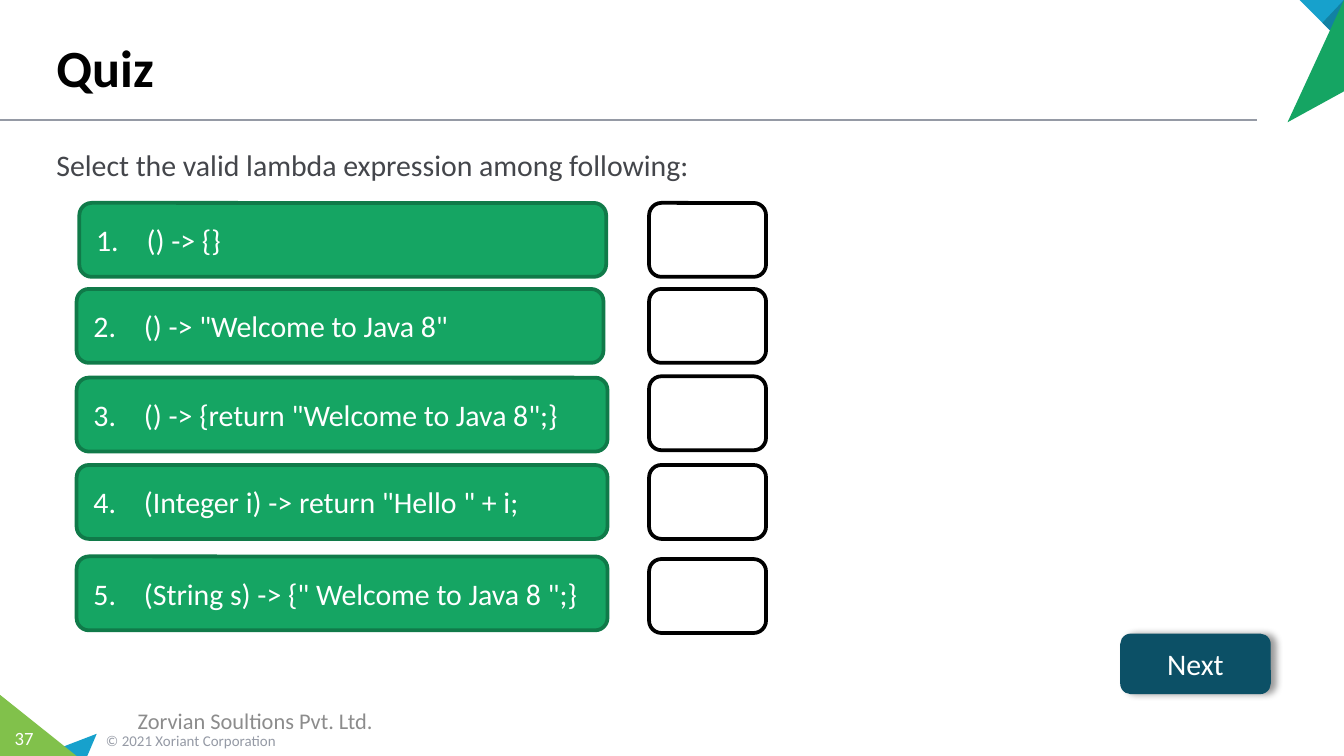
from lxml import etree
from pptx import Presentation
from pptx.dml.color import RGBColor
from pptx.enum.shapes import MSO_CONNECTOR, MSO_SHAPE
from pptx.enum.text import MSO_ANCHOR, MSO_AUTO_SIZE, PP_ALIGN
from pptx.oxml import parse_xml
from pptx.oxml.ns import nsdecls, qn
from pptx.util import Emu, Pt

PX = 914400 // 200  # 200 px to the inch
FONT = "Calibri"
LEFT, CENTER = PP_ALIGN.LEFT, PP_ALIGN.CENTER
TOP, MIDDLE, BOTTOM = MSO_ANCHOR.TOP, MSO_ANCHOR.MIDDLE, MSO_ANCHOR.BOTTOM
ROUNDED = MSO_SHAPE.ROUNDED_RECTANGLE
STRAIGHT = MSO_CONNECTOR.STRAIGHT

GREEN, DARK_GREEN, LIME = "15A563", "107A49", "81C14B"
BLUE, DARK_BLUE, TEAL = "17A1CC", "1281A3", "0C5066"
WHITE, BLACK, GREY = "FFFFFF", "000000", "959AA5"

# top of the option, its left and width, top of its answer box, text
OPTIONS = [
    (302, 118, 784, 302, "() -> {}"),
    (430, 114, 784, 430, '() -> "Welcome to Java 8"'),
    (562, 114, 790, 560, '() -> {return "Welcome to Java 8";}'),
    (692, 114, 790, 692, '(Integer i) -> return "Hello " + i;'),
    (828, 114, 790, 832, '(String s) -> {" Welcome to Java 8 ";}'),
]


def px(length):
    return Emu(length * PX)


def color(hex_string):
    return RGBColor.from_string(hex_string)


def write(shape, text, size, hex_string, align=LEFT, anchor=MIDDLE, bold=False, number=None):
    frame = shape.text_frame
    frame.word_wrap = True
    frame.auto_size = MSO_AUTO_SIZE.NONE
    frame.vertical_anchor = anchor
    paragraph = frame.paragraphs[0]
    paragraph.text = text
    paragraph.alignment = align
    paragraph.space_before = Pt(0)
    properties = paragraph._p.get_or_add_pPr()
    indent = 0 if number is None else px(75)
    properties.set("marL", str(indent))
    properties.set("indent", str(-indent))
    if number is None:
        etree.SubElement(properties, qn("a:buNone"))
    else:
        numbering = etree.SubElement(properties, qn("a:buAutoNum"))
        numbering.set("type", "arabicPeriod")
        numbering.set("startAt", str(number))
    font = paragraph.font
    font.name, font.size, font.bold = FONT, Pt(size), bold
    font.color.rgb = color(hex_string)
    return paragraph


def add_label(slide, box, text, size, hex_string, align=LEFT):
    label = slide.shapes.add_textbox(*map(px, box))
    write(label, text, size, hex_string, align)
    return label


def fill_placeholder(placeholder, box, text, *style, **options):
    placeholder.left, placeholder.top, placeholder.width, placeholder.height = map(px, box)
    return write(placeholder, text, *style, **options)


def add_rounded(slide, box, fill, line, line_width):
    shape = slide.shapes.add_shape(ROUNDED, *map(px, box))
    shape.shadow.inherit = False
    shape.fill.solid()
    shape.fill.fore_color.rgb = color(fill)
    shape.line.color.rgb = color(line)
    shape.line.width = Pt(line_width)
    return shape


def add_triangle(slide, left, top, points, fill):
    corners = [(left + x, top + y) for x, y in points]
    builder = slide.shapes.build_freeform(*corners[0], scale=PX)
    builder.add_line_segments(corners[1:], close=True)
    triangle = builder.convert_to_shape()
    triangle.shadow.inherit = False
    triangle.fill.solid()
    triangle.fill.fore_color.rgb = color(fill)
    triangle.line.fill.background()


def add_top_corner(slide, left, top):
    add_triangle(slide, left, top, [(18, 0), (84, 0), (84, 66)], BLUE)
    add_triangle(slide, left, top, [(52, 34), (84, 0), (84, 66)], DARK_BLUE)
    add_triangle(slide, left, top, [(0, 182), (84, 0), (84, 136)], GREEN)


def add_header_rule(slide, left, top, width):
    rule = slide.shapes.add_connector(STRAIGHT, px(left), px(top), px(left + width), px(top))
    rule.line.color.rgb = color(GREY)
    rule.line.width = Pt(1)
    etree.SubElement(rule._element.spPr, qn("a:effectLst"))


def add_footer(slide, left, top):
    add_triangle(slide, left, top, [(144, 58), (130, 91), (58, 91)], BLUE)
    add_triangle(slide, left, top, [(0, 0), (114, 91), (0, 91)], LIME)
    add_label(slide, (left + 138, top + 44, 466, 48), "© 2021 Xoriant Corporation", 8, GREY)
    page = add_label(slide, (left, top + 38, 72, 54), "37", 10, WHITE, CENTER)
    page.text_frame.margin_left = page.text_frame.margin_right = 0
    add_label(slide, (left, top + 8, 760, 60), "Zorvian Soultions Pvt. Ltd.", 12, "8C8C8C", CENTER)


def add_option(slide, number, top, left, width, answer_top, text):
    option = add_rounded(slide, (left, top, width, 110), GREEN, DARK_GREEN, 2)
    write(option, text, 16, WHITE, number=number)
    add_rounded(slide, (966, answer_top, 174, 110), WHITE, BLACK, 2)


def add_next_button(slide, box):
    button = add_rounded(slide, box, TEAL, TEAL, 0.75)
    write(button, "Next", 16, WHITE, CENTER)
    shadow = parse_xml(
        f'<a:outerShdw {nsdecls("a")} blurRad="{Pt(4)}" dist="{Pt(3)}" dir="0" algn="l" '
        f'rotWithShape="0"><a:srgbClr val="{BLACK}"><a:alpha val="40000"/></a:srgbClr></a:outerShdw>')
    button._element.spPr.find(qn("a:effectLst")).append(shadow)


def main():
    presentation = Presentation()
    presentation.slide_width, presentation.slide_height = px(2000), px(1125)
    slide = presentation.slides.add_slide(presentation.slide_layouts[1])

    # Frame of the page
    add_header_rule(slide, 0, 178, 1870)
    add_top_corner(slide, 1916, 0)
    add_footer(slide, 0, 1034)

    # Title and question
    title, body = slide.placeholders
    fill_placeholder(title, (64, 12, 1800, 144), "Quiz", 28, BLACK, anchor=BOTTOM, bold=True)
    question = fill_placeholder(
        body, (64, 208, 1834, 854), "Select the valid lambda expression among following:",
        16, "44464B", anchor=TOP)
    question.space_after = Pt(3)

    # Options with their answer boxes
    for number, option in enumerate(OPTIONS, start=1):
        add_option(slide, number, *option)

    add_next_button(slide, (1668, 944, 222, 88))
    presentation.save("out.pptx")


if __name__ == "__main__":
    main()
